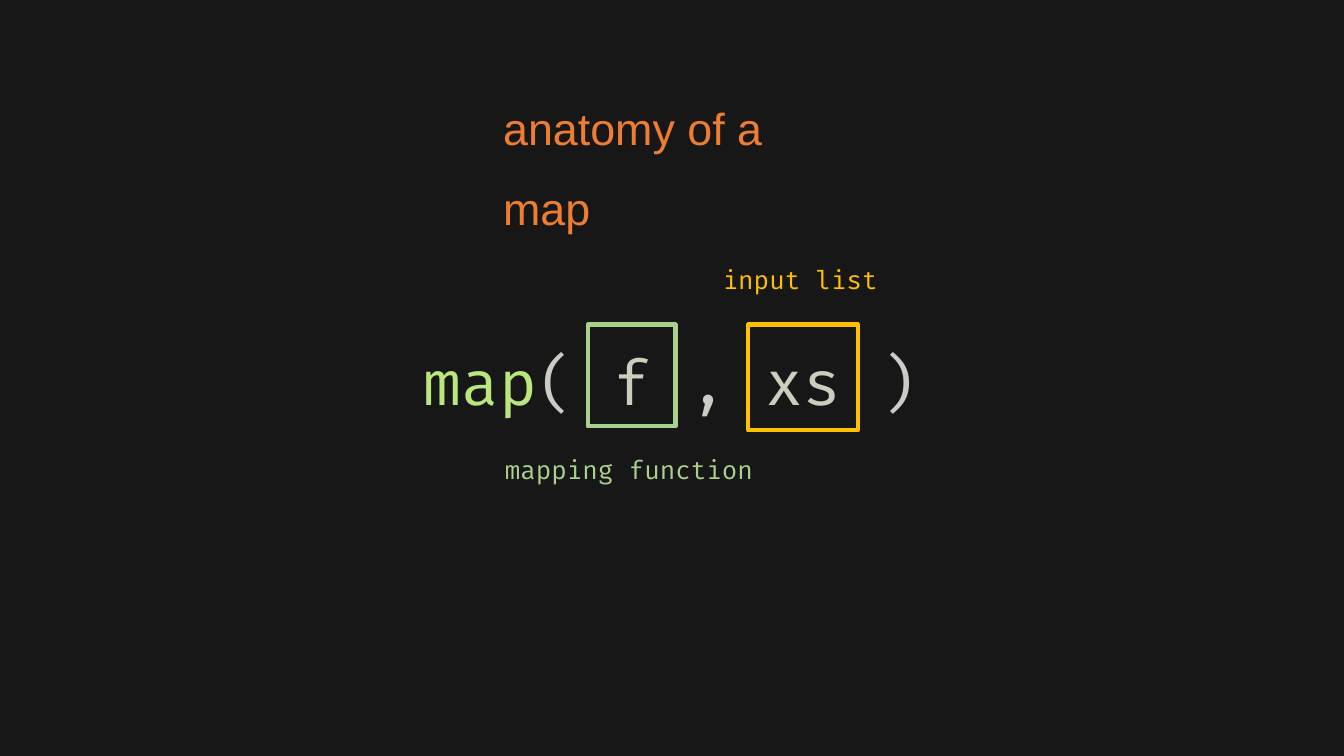
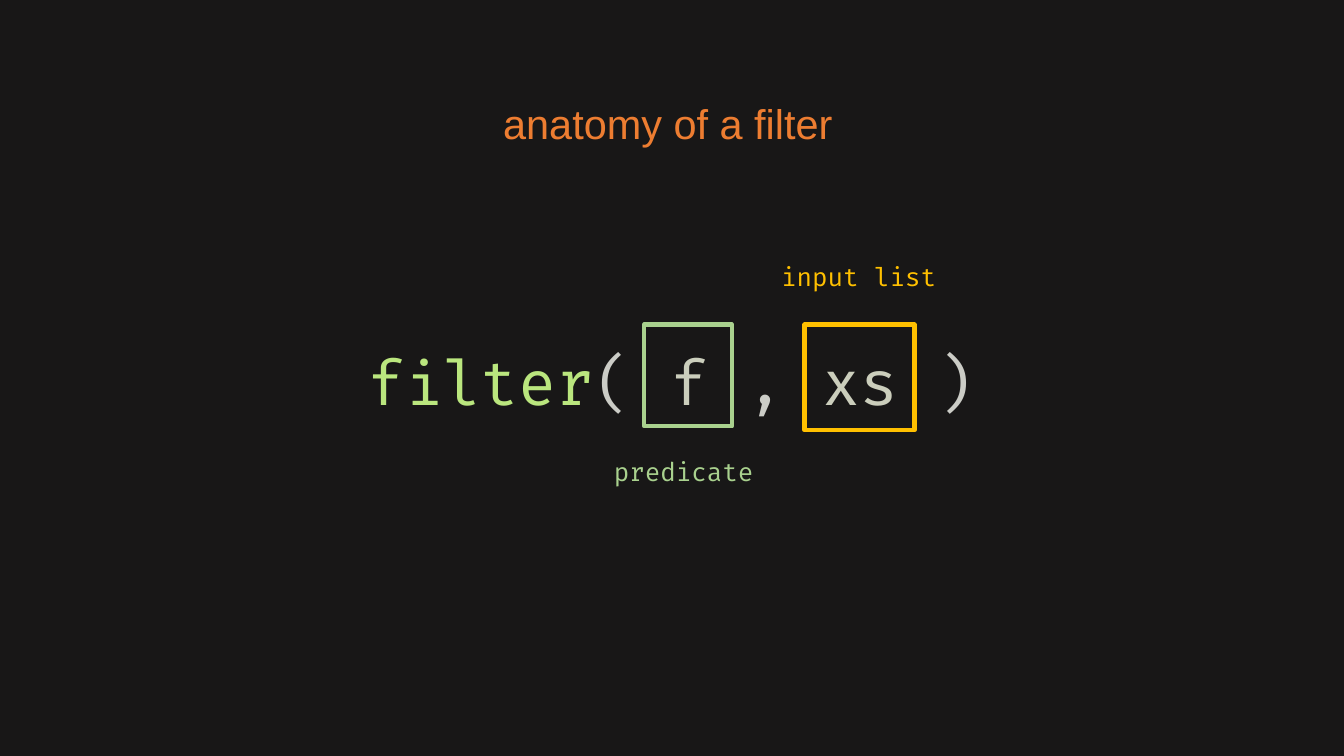
from dataclasses import dataclass

from pptx import Presentation
from pptx.dml.color import RGBColor
from pptx.enum.shapes import MSO_SHAPE
from pptx.enum.text import MSO_ANCHOR, MSO_AUTO_SIZE, PP_ALIGN
from pptx.presentation import Presentation as Deck
from pptx.slide import Slide
from pptx.text.text import TextFrame
from pptx.util import Inches, Pt

COLORS = {
    "background": "181717",
    "title": "ED7D31",
    "name": "BAE67E",
    "punctuation": "CBCCC6",
    "argument": "CBCEBC",
    "function": "A9D18E",
    "list": "FFC000",
}
TITLE_FONT = "Arial"
CODE_FONT = "Fira Code"
SLIDE_WIDTH = 13.33
TITLE_ONLY = 5
CALL_RUNS = [
    ("( ", "punctuation"),
    ("f ", "argument"),
    (",", "punctuation"),
    (" xs ", "argument"),
    (")", "punctuation"),
]


@dataclass(frozen=True)
class Label:
    text: str
    color: str
    left: float
    top: float
    width: float


@dataclass(frozen=True)
class Anatomy:
    name: str
    title_size: float
    code_width: float
    function_left: float
    labels: tuple[Label, ...]


ANATOMIES = [
    Anatomy("map", 32, 5.12, 5.83, (
        Label("mapping function", "function", 4.91, 4.46, 2.71),
        Label("input list", "list", 7.07, 2.57, 1.78),
    )),
    Anatomy("filter", 29.6, 6.24, 6.39, (
        Label("predicate", "function", 5.99, 4.48, 1.66),
        Label("input list", "list", 7.65, 2.54, 1.78),
    )),
]


def rgb(name: str) -> RGBColor:
    return RGBColor.from_string(COLORS[name])


def write(tf: TextFrame, text: str, *, size: float, color: str,
          font: str = CODE_FONT) -> None:
    r = tf.paragraphs[0].add_run()
    r.text = text
    r.font.size = Pt(size)
    r.font.name = font
    r.font.color.rgb = rgb(color)


def add_title(s: Slide, text: str, size: float) -> None:
    sp = s.shapes.title
    sp.left, sp.top = Inches(4.89), Inches(0.68)
    sp.width, sp.height = Inches(3.56), Inches(1.12)
    tf = sp.text_frame
    tf.word_wrap = True
    tf.auto_size = MSO_AUTO_SIZE.NONE
    tf.vertical_anchor = MSO_ANCHOR.TOP
    p = tf.paragraphs[0]
    p.alignment = PP_ALIGN.LEFT
    p.line_spacing = 1.5
    p.space_before = Pt(10)
    write(tf, text, size=size, color="title", font=TITLE_FONT)


def add_text_box(s: Slide, left: float, top: float, width: float,
                 height: float) -> TextFrame:
    sp = s.shapes.add_textbox(Inches(left), Inches(top), Inches(width), Inches(height))
    tf = sp.text_frame
    tf.word_wrap = True
    tf.auto_size = MSO_AUTO_SIZE.SHAPE_TO_FIT_TEXT
    return tf


def add_frame(s: Slide, left: float, width: float, height: float, color: str) -> None:
    sp = s.shapes.add_shape(MSO_SHAPE.RECTANGLE, Inches(left), Inches(3.22),
                            Inches(width), Inches(height))
    sp.shadow.inherit = False
    sp.fill.background()
    sp.line.color.rgb = rgb(color)
    sp.line.width = Pt(3)


def add_anatomy(prs: Deck, anatomy: Anatomy) -> None:
    s = prs.slides.add_slide(prs.slide_layouts[TITLE_ONLY])
    add_title(s, f"anatomy of a {anatomy.name}", anatomy.title_size)
    code_left = (SLIDE_WIDTH - anatomy.code_width) / 2
    tf = add_text_box(s, code_left, 3.36, anatomy.code_width, 0.84)
    for text, color in [(anatomy.name, "name"), *CALL_RUNS]:
        write(tf, text, size=44, color=color)
    add_frame(s, anatomy.function_left, 0.87, 1.01, "function")
    add_frame(s, anatomy.function_left + 1.59, 1.09, 1.05, "list")
    for label in anatomy.labels:
        tf = add_text_box(s, label.left, label.top, label.width, 0.4)
        write(tf, label.text, size=18, color=label.color)


def main() -> None:
    prs = Presentation()
    prs.slide_width, prs.slide_height = Inches(SLIDE_WIDTH), Inches(7.5)
    fill = prs.slide_master.background.fill
    fill.solid()
    fill.fore_color.rgb = rgb("background")
    for anatomy in ANATOMIES:
        add_anatomy(prs, anatomy)
    prs.save("out.pptx")


if __name__ == "__main__":
    main()
